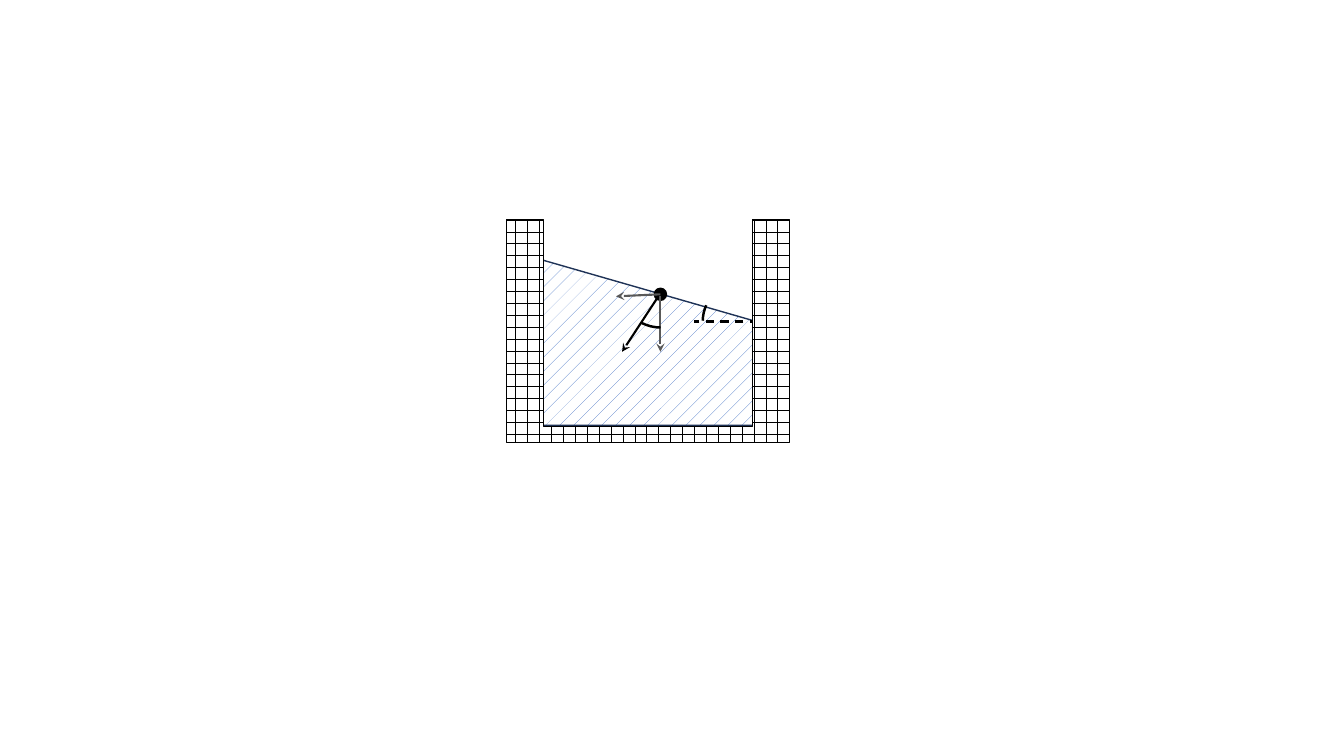
from dataclasses import dataclass
from typing import Optional

from lxml.etree import SubElement
from pptx import Presentation
from pptx.dml.color import RGBColor
from pptx.enum.dml import MSO_LINE_DASH_STYLE as Dash, MSO_PATTERN_TYPE as Pattern
from pptx.enum.shapes import MSO_CONNECTOR_TYPE as Connector, MSO_SHAPE as Preset
from pptx.oxml.ns import qn
from pptx.shapes.shapetree import SlideShapes
from pptx.util import Inches, Pt

BLACK = RGBColor(0x00, 0x00, 0x00)
WHITE = RGBColor(0xFF, 0xFF, 0xFF)
GREY = RGBColor(0x59, 0x59, 0x59)
WATER_BLUE = RGBColor(0x44, 0x72, 0xC4)
WATER_EDGE = RGBColor(0x1E, 0x32, 0x56)

Point = tuple[float, float]


@dataclass(frozen=True)
class Region:
    points: list[Point]
    pattern: Pattern
    color: RGBColor
    edge: RGBColor
    width: float


@dataclass(frozen=True)
class Stroke:
    start: Point
    end: Point
    color: RGBColor
    arrow: bool = True
    dash: Optional[Dash] = None


@dataclass(frozen=True)
class AngleMark:
    left: float
    top: float
    start_degrees: float
    end_degrees: float


WATER = Region(
    [(5.38, 2.58), (7.5, 3.19), (7.5, 4.22), (5.38, 4.22)],
    Pattern.PERCENT_5, WATER_BLUE, WATER_EDGE, 1,
)
VESSEL = Region(
    [(5.02, 2.18), (5.02, 4.39), (7.83, 4.39), (7.83, 2.18),
     (7.46, 2.18), (7.46, 4.23), (5.39, 4.23), (5.39, 2.18)],
    Pattern.HORIZONTAL_BRICK, BLACK, BLACK, 0.75,
)
STROKES = [
    Stroke((6.55, 2.94), (6.55, 3.49), GREY),
    Stroke((6.55, 2.92), (6.11, 2.94), GREY),
    Stroke((6.53, 2.94), (6.17, 3.49), BLACK),
    Stroke((7.52, 3.19), (6.88, 3.19), BLACK, arrow=False, dash=Dash.DASH),
]
SURFACE_ANGLE = AngleMark(6.97, 2.8, 180.39, 202.84)
FORCE_ANGLE = AngleMark(6.15, 2.48, 90.54, 119.54)


def draw_region(shapes: SlideShapes, region: Region) -> None:
    first, *rest = [(Inches(x), Inches(y)) for x, y in region.points]
    builder = shapes.build_freeform(*first)
    builder.add_line_segments(rest, close=True)
    shape = builder.convert_to_shape()
    shape.shadow.inherit = False
    shape.fill.patterned()
    shape.fill.pattern = region.pattern
    shape.fill.fore_color.rgb = region.color
    shape.fill.back_color.rgb = WHITE
    shape.line.color.rgb = region.edge
    shape.line.width = Pt(region.width)


def draw_particle(shapes: SlideShapes) -> None:
    particle = shapes.add_shape(
        Preset.OVAL, Inches(6.49), Inches(2.86), Inches(0.12), Inches(0.12))
    particle.shadow.inherit = False
    particle.fill.solid()
    particle.fill.fore_color.rgb = BLACK
    particle.line.color.rgb = BLACK
    particle.line.width = Pt(1)


def draw_stroke(shapes: SlideShapes, stroke: Stroke) -> None:
    ends = [Inches(value) for value in stroke.start + stroke.end]
    connector = shapes.add_connector(Connector.STRAIGHT, *ends)
    line = connector.line
    line.color.rgb = stroke.color
    line.width = Pt(1.5)
    if stroke.dash is not None:
        line.dash_style = stroke.dash
    properties = connector._element.spPr
    if stroke.arrow:
        SubElement(properties.find(qn("a:ln")), qn("a:tailEnd"), type="stealth")
    SubElement(properties, qn("a:effectLst"))


def draw_angle(shapes: SlideShapes, mark: AngleMark) -> None:
    arc = shapes.add_shape(
        Preset.ARC, Inches(mark.left), Inches(mark.top), Inches(0.81), Inches(0.77))
    arc.shadow.inherit = False
    arc.adjustments[0] = mark.start_degrees * 0.6
    arc.adjustments[1] = mark.end_degrees * 0.6
    arc.fill.background()
    arc.line.color.rgb = BLACK
    arc.line.width = Pt(1.75)


def main() -> None:
    deck = Presentation()
    deck.slide_width = Inches(13.33)
    deck.slide_height = Inches(7.5)
    page = deck.slides.add_slide(deck.slide_layouts[6])
    shapes = page.shapes
    draw_region(shapes, WATER)
    draw_particle(shapes)
    for stroke in STROKES:
        draw_stroke(shapes, stroke)
    draw_angle(shapes, SURFACE_ANGLE)
    draw_region(shapes, VESSEL)
    draw_angle(shapes, FORCE_ANGLE)
    deck.save("out.pptx")


if __name__ == "__main__":
    main()
